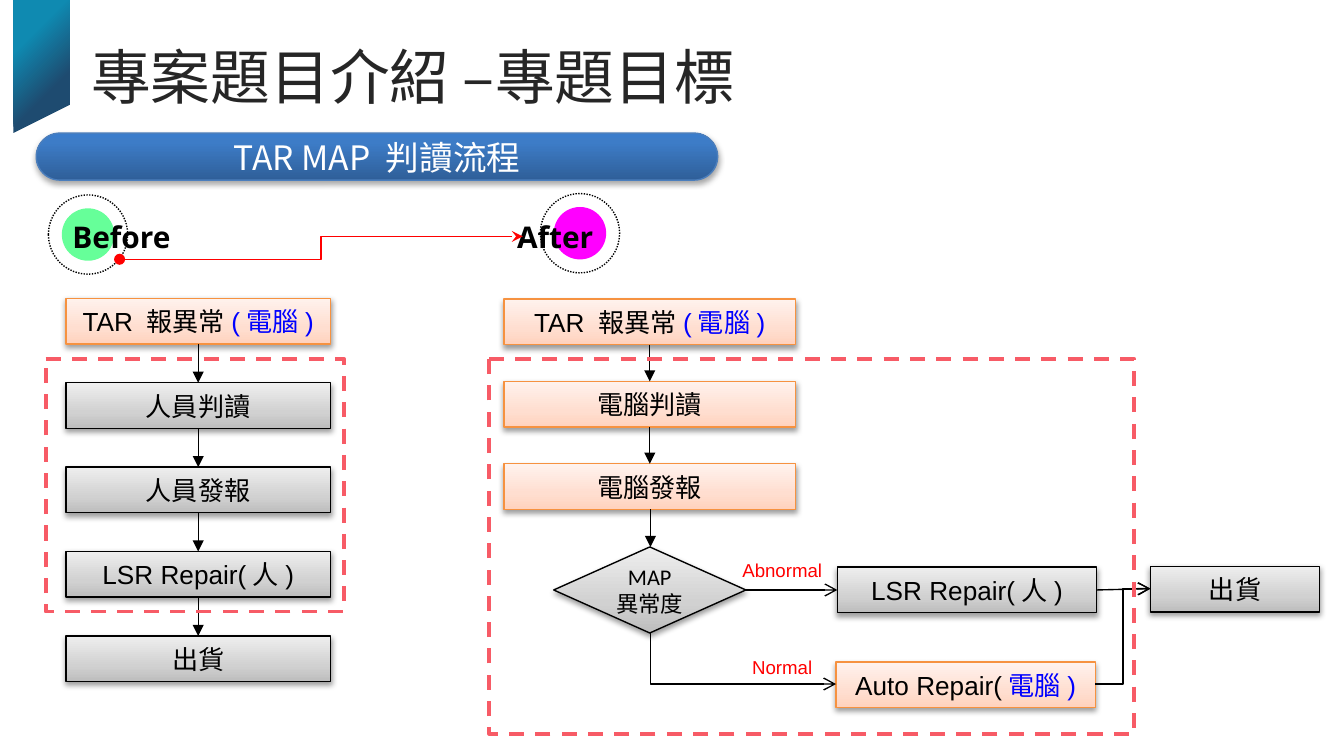
from lxml import etree
from pptx import Presentation
from pptx import util as u
from pptx.dml.color import RGBColor
from pptx.enum import dml, shapes as kinds, text as t
from pptx.oxml.ns import qn

# The slide is a grid of 100 columns with square cells.
CELL = u.Inches(0.1)
COLUMNS, ROWS = 100, 56.25
BOX_ROWS = 3.4

BLACK = RGBColor(0, 0, 0)
WHITE = RGBColor(255, 255, 255)
TITLE_GREY = RGBColor(0x26, 0x26, 0x26)
BLUE = RGBColor(0, 0, 255)
RED = RGBColor(255, 0, 0)
CORAL = RGBColor(0xF7, 0x5B, 0x66)
ORANGE = RGBColor(0xF6, 0x92, 0x40)
PILL_EDGE = RGBColor(0x4B, 0x7E, 0xBC)
GREEN = RGBColor(0x66, 0xFF, 0x99)
MAGENTA = RGBColor(255, 0, 255)

RIBBON_STOPS = [(32, RGBColor(0x0F, 0x8A, 0xB1)), (70, RGBColor(0x1E, 0x4B, 0x70))]
PILL_STOPS = [(0, RGBColor(0x2F, 0x5F, 0x99)), (80, RGBColor(0x3D, 0x7C, 0xC7)),
              (100, RGBColor(0x3A, 0x7C, 0xCB))]
MANUAL = (BLACK, [(0, RGBColor(0xBD, 0xBD, 0xBD)), (35, RGBColor(0xD1, 0xD1, 0xD1)),
                  (100, RGBColor(0xEE, 0xEE, 0xEE))])
COMPUTER = (ORANGE, [(0, RGBColor(0xFF, 0xD2, 0xBD)), (35, RGBColor(0xFF, 0xDE, 0xD0)),
                     (100, RGBColor(0xFF, 0xF2, 0xED))])

BOX_FONT = {"name": "Arial", "size": u.Pt(14)}
LABEL_FONT = {"name": "Arial", "size": u.Pt(10)}
BADGE_FONT = {"name": "Open Sans", "size": u.Pt(16), "bold": True}


def cells(*values):
    return [round(value * CELL) for value in values]


def apply(target, values):
    for name, value in values.items():
        setattr(target, name, value)


def add_xml(parent, tag, **attributes):
    values = {name: str(value) for name, value in attributes.items()}
    return etree.SubElement(parent, qn(tag), values)


def fill_gradient(shape, stops, radial=False):
    """Run the stops upwards, or outwards from the top left corner."""
    shape.fill.gradient()
    gradient = shape._element.spPr.find(qn("a:gradFill"))
    for child in list(gradient):
        gradient.remove(child)
    stop_list = add_xml(gradient, "a:gsLst")
    for position, color in stops:
        stop = add_xml(stop_list, "a:gs", pos=position * 1000)
        add_xml(stop, "a:srgbClr", val=color)
    if radial:
        direction = add_xml(gradient, "a:path", path="circle")
        add_xml(direction, "a:fillToRect", r=100000, b=100000)
    else:
        add_xml(gradient, "a:lin", ang=270 * 60000, scaled=0)


def add_shadow(shape, distance, opacity):
    effects = shape._element.spPr.find(qn("a:effectLst"))
    shadow = add_xml(effects, "a:outerShdw", blurRad=u.Pt(3.1), dist=u.Pt(distance),
                     dir=90 * 60000, rotWithShape=0)
    color = add_xml(shadow, "a:srgbClr", val=BLACK)
    add_xml(color, "a:alpha", val=opacity * 1000)


def write(shape, paragraphs, font, align=t.PP_ALIGN.CENTER, anchor=t.MSO_ANCHOR.MIDDLE):
    """Each paragraph is a list of (text, colour) runs."""
    frame = shape.text_frame
    apply(frame, {"word_wrap": True, "vertical_anchor": anchor})
    for index, runs in enumerate(paragraphs):
        paragraph = frame.add_paragraph() if index else frame.paragraphs[0]
        paragraph.alignment = align
        for words, color in runs:
            run = paragraph.add_run()
            run.text = words
            apply(run.font, font)
            run.font.color.rgb = color


def add_text(shapes, area, runs, font, **layout):
    write(shapes.add_textbox(*cells(*area)), [runs], font, **layout)


def add_plain(shapes, kind, area, fill=None, line=None, width=0.75, dash=None):
    shape = shapes.add_shape(kind, *cells(*area))
    shape.shadow.inherit = False
    if fill is None:
        shape.fill.background()
    else:
        shape.fill.solid()
        shape.fill.fore_color.rgb = fill
    if line is None:
        shape.line.fill.background()
    else:
        shape.line.color.rgb = line
        apply(shape.line, {"width": u.Pt(width), "dash_style": dash})
    return shape


def add_box(shapes, area, style, *runs):
    edge, stops = style
    box = add_plain(shapes, kinds.MSO_SHAPE.RECTANGLE, area, line=edge)
    fill_gradient(box, stops)
    add_shadow(box, 1.6, 38)
    write(box, [runs], BOX_FONT)


def add_arrow(shapes, start, end, tail="triangle", head=None, color=BLACK, bent=False):
    kind = kinds.MSO_CONNECTOR.ELBOW if bent else kinds.MSO_CONNECTOR.STRAIGHT
    arrow = shapes.add_connector(kind, *cells(*start, *end))
    arrow.line.color.rgb = color
    arrow.line.width = u.Pt(0.75)
    line = arrow.line._get_or_add_ln()
    if head:
        add_xml(line, "a:headEnd", type=head)
    add_xml(line, "a:tailEnd", type=tail)
    add_xml(arrow._element.spPr, "a:effectLst")
    return arrow


def add_corner_arrow(shapes, start, end):
    """Go down from start, then right to end."""
    arrow = add_arrow(shapes, start, end, "arrow", bent=True)
    across, down = end[0] - start[0], end[1] - start[1]
    left, top = start[0] + (across - down) / 2, start[1] + (down - across) / 2
    names = ("left", "top", "width", "height")
    apply(arrow, dict(zip(names, cells(left, top, down, across))))
    properties = arrow._element.spPr
    properties.find(qn("a:prstGeom")).set("prst", "bentConnector2")
    frame = properties.find(qn("a:xfrm"))
    frame.set("rot", str(270 * 60000))
    frame.set("flipH", "1")


def add_badge(shapes, left, top, color, label, label_left):
    group = shapes.add_group_shape().shapes
    oval = kinds.MSO_SHAPE.OVAL
    add_plain(group, oval, (left, top, 5.9, 5.9), line=BLACK,
              dash=dml.MSO_LINE.ROUND_DOT)
    add_plain(group, oval, (left + 1, top + 1, 3.9, 3.9), fill=color)
    add_text(group, (label_left, 15.75, 11.3, 3.7), [(label, BLACK)], BADGE_FONT,
             align=t.PP_ALIGN.LEFT)


def add_frame(shapes, *area):
    add_plain(shapes, kinds.MSO_SHAPE.FLOWCHART_PROCESS, area, line=CORAL, width=2,
              dash=dml.MSO_LINE.DASH)


def add_column(shapes, left, top, width, step, steps):
    """Stack boxes at equal steps, with an arrow between neighbours."""
    middle = left + width / 2
    for index, (style, *runs) in enumerate(steps):
        row = top + index * step
        add_box(shapes, (left, row, width, BOX_ROWS), style, *runs)
        if index:
            add_arrow(shapes, (middle, row - step + BOX_ROWS), (middle, row))


def add_heading(shapes):
    corners = [cells(*corner) for corner in ((1, 9.9), (5.2, 7.8), (5.2, -0.9), (1, -0.9))]
    builder = shapes.build_freeform(*corners[0])
    builder.add_line_segments(corners[1:], close=True)
    ribbon = builder.convert_to_shape()
    ribbon.shadow.inherit = False
    ribbon.line.fill.background()
    fill_gradient(ribbon, RIBBON_STOPS, radial=True)

    add_text(shapes, (5.8, 2.5, 80.6, 12.8), [("專案題目介紹 –專題目標", TITLE_GREY)],
             {"name": "Calibri", "size": u.Pt(32)},
             align=t.PP_ALIGN.LEFT, anchor=t.MSO_ANCHOR.TOP)
    pill = add_plain(shapes, kinds.MSO_SHAPE.ROUNDED_RECTANGLE, (2.7, 9.9, 50.7, 3.5),
                     line=PILL_EDGE)
    pill.adjustments[0] = 0.5
    fill_gradient(pill, PILL_STOPS)
    add_shadow(pill, 1.8, 35)
    write(pill, [[("TAR MAP 判讀流程", WHITE)]],
          {"name": "Noto Sans CJK SC", "size": u.Pt(18)})


def add_decision(shapes, area):
    edge, stops = MANUAL
    diamond = add_plain(shapes, kinds.MSO_SHAPE.FLOWCHART_DECISION, area, line=edge)
    fill_gradient(diamond, stops)
    add_shadow(diamond, 1.6, 38)
    apply(diamond.text_frame, dict.fromkeys(("margin_left", "margin_right"), 0))
    write(diamond, [[("MAP", BLACK)], [("異常度", BLACK)]],
          {"name": "Calibri", "size": u.Pt(12)})


def main():
    presentation = Presentation()
    presentation.slide_width, presentation.slide_height = cells(COLUMNS, ROWS)
    shapes = presentation.slides.add_slide(presentation.slide_layouts[6]).shapes
    add_heading(shapes)

    alarm = (COMPUTER, ("TAR 報異常", BLACK), ("(電腦)", BLUE))
    repair, shipping = ("LSR Repair(人)", BLACK), ("出貨", BLACK)
    add_column(shapes, 4.9, 22.2, 19.7, 6.28, [
        alarm, (MANUAL, ("人員判讀", BLACK)), (MANUAL, ("人員發報", BLACK)),
        (MANUAL, repair), (MANUAL, shipping)])
    add_column(shapes, 37.5, 22.25, 21.7, 6.13, [
        alarm, (COMPUTER, ("電腦判讀", BLACK)), (COMPUTER, ("電腦發報", BLACK))])

    add_box(shapes, (62.3, 42.2, 19.3, BOX_ROWS), MANUAL, repair)
    add_box(shapes, (62.2, 49.25, 19.3, BOX_ROWS), COMPUTER,
            ("Auto Repair(", BLACK), ("電腦)", BLUE))
    add_box(shapes, (85.6, 42.15, 12.6, BOX_ROWS), MANUAL, shipping)
    add_arrow(shapes, (48.4, 37.9), (48.4, 40.7))
    add_arrow(shapes, (55.5, 43.9), (62.3, 43.9), "arrow")
    add_arrow(shapes, (81.6, 43.9), (85.6, 43.8), "arrow")
    add_arrow(shapes, (81.5, 50.9), (85.6, 43.8), "arrow", bent=True)
    add_corner_arrow(shapes, (48.4, 47.1), (62.2, 50.9))
    add_text(shapes, (52.5, 41.1, 11.4, 2.7), [("Abnormal", RED)], LABEL_FONT)
    add_text(shapes, (53.4, 48.3, 9.6, 2.7), [("Normal", RED)], LABEL_FONT)
    add_decision(shapes, (41.2, 40.7, 14.3, 6.4))

    add_frame(shapes, 3.4, 26.7, 22.2, 18.8)
    add_badge(shapes, 3.6, 14.5, GREEN, "Before", 4.4)
    add_badge(shapes, 40.2, 14.4, MAGENTA, "After", 37.5)
    add_arrow(shapes, (8.9, 19.3), (38.9, 17.6), "stealth", "oval", RED, bent=True)
    add_frame(shapes, 36.4, 26.7, 48, 27.9)
    presentation.save("out.pptx")


if __name__ == "__main__":
    main()
